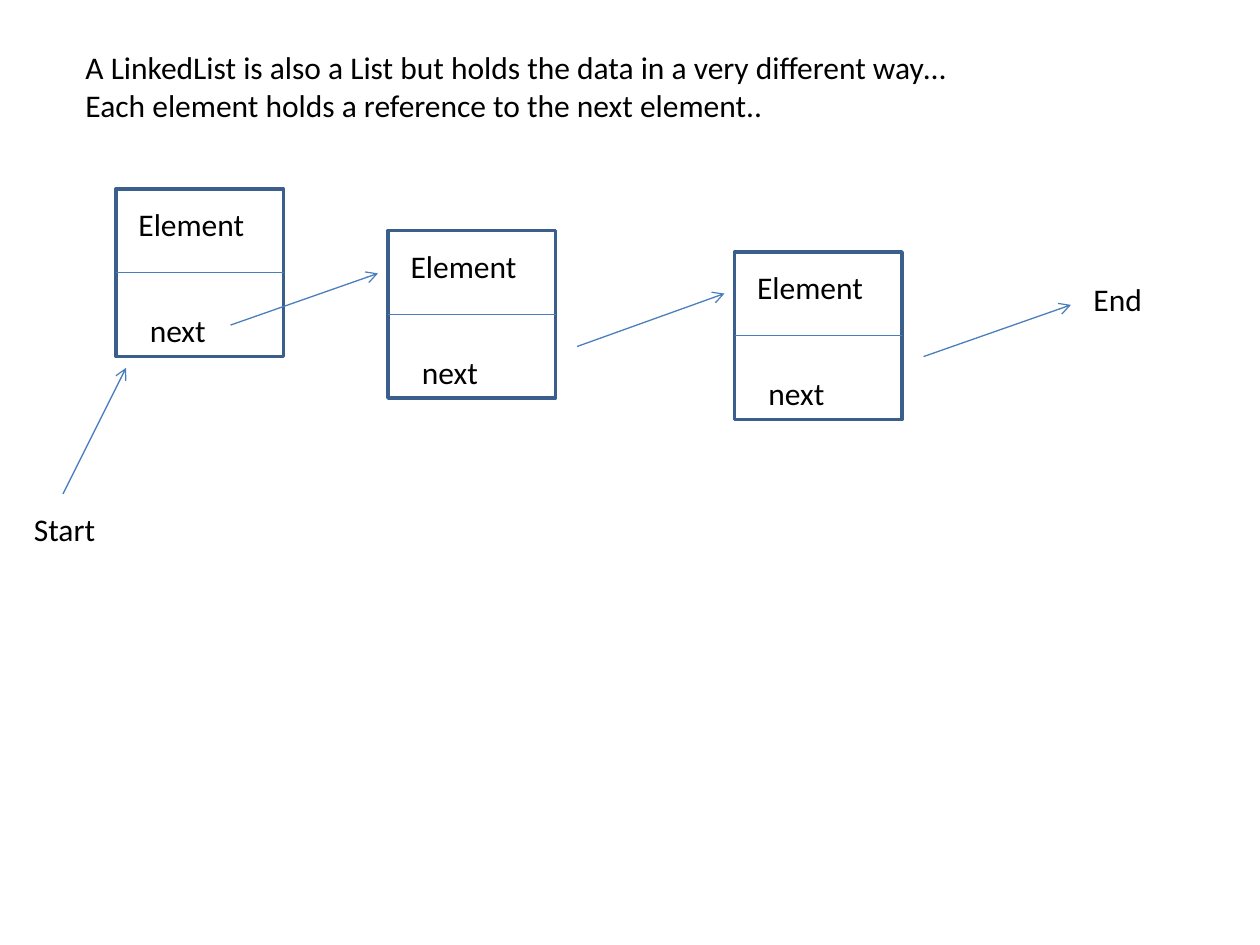
from lxml.etree import SubElement
from pptx import Presentation
from pptx.dml.color import RGBColor
from pptx.enum.shapes import MSO_CONNECTOR, MSO_SHAPE
from pptx.enum.text import MSO_AUTO_SIZE
from pptx.oxml.ns import qn
from pptx.util import Inches, Pt

INTRO = ("A LinkedList is also a List but holds the data in a very different way…\n"
         "Each element holds a reference to the next element..")
LABELS = [
    (INTRO, 0.58, 0.33, 7.12, 0.71),
    ("Start", 0.17, 4, 0.69, 0.4),
    ("End", 8.58, 2.17, 0.59, 0.4),
]
NODES = [(0.92, 1.5), (3.08, 1.83), (5.83, 2)]
NODE_SIZE = 1.33
NODE_LABELS = [("Element", 0.08, 0.08, 1.05, 0.4), ("next", 0.17, 0.92, 0.65, 0.4)]
ARROWS = [
    (0.5, 3.92, 1, 2.92),
    (1.83, 2.58, 3, 2.17),
    (4.58, 2.75, 5.75, 2.33),
    (7.33, 2.83, 8.5, 2.42),
]
WHITE, BLACK, OUTLINE, LINE = "FFFFFF", "000000", "3A5F8C", "4B7EBC"


def color(value):
    """Return the colour for a hex string."""
    return RGBColor.from_string(value)


def add_label(slide, text, left, top, width, height):
    """Add unwrapped black text."""
    box = slide.shapes.add_textbox(*map(Inches, (left, top, width, height)))
    frame = box.text_frame
    frame.text = text
    frame.word_wrap = False
    frame.auto_size = MSO_AUTO_SIZE.SHAPE_TO_FIT_TEXT
    for paragraph in frame.paragraphs:
        for run in paragraph.runs:
            run.font.name = "Calibri"
            run.font.size = Pt(18)
            run.font.color.rgb = color(BLACK)


def add_line(slide, *ends, arrow=False):
    """Add a thin line, with an open arrowhead at its end if asked."""
    connector = slide.shapes.add_connector(MSO_CONNECTOR.STRAIGHT, *map(Inches, ends))
    connector.line.color.rgb = color(LINE)
    connector.line.width = Pt(0.75)
    if arrow:
        SubElement(connector.line._get_or_add_ln(), qn("a:tailEnd"), type="arrow")
    SubElement(connector._element.spPr, qn("a:effectLst"))


def add_node(slide, left, top):
    """Add a list node split into its element and its reference."""
    box = slide.shapes.add_shape(
        MSO_SHAPE.RECTANGLE, *map(Inches, (left, top, NODE_SIZE, NODE_SIZE)))
    box.shadow.inherit = False
    box.fill.solid()
    box.fill.fore_color.rgb = color(WHITE)
    box.line.color.rgb = color(OUTLINE)
    box.line.width = Pt(2)
    middle = top + NODE_SIZE / 2
    add_line(slide, left, middle, left + NODE_SIZE, middle)
    for text, across, down, width, height in NODE_LABELS:
        add_label(slide, text, left + across, top + down, width, height)


def main():
    """Build the linked list slide."""
    presentation = Presentation()
    presentation.slide_width, presentation.slide_height = Inches(10), Inches(7.5)
    slide = presentation.slides.add_slide(presentation.slide_layouts[6])
    for label in LABELS:
        add_label(slide, *label)
    for node in NODES:
        add_node(slide, *node)
    for ends in ARROWS:
        add_line(slide, *ends, arrow=True)
    presentation.save("out.pptx")


main()
